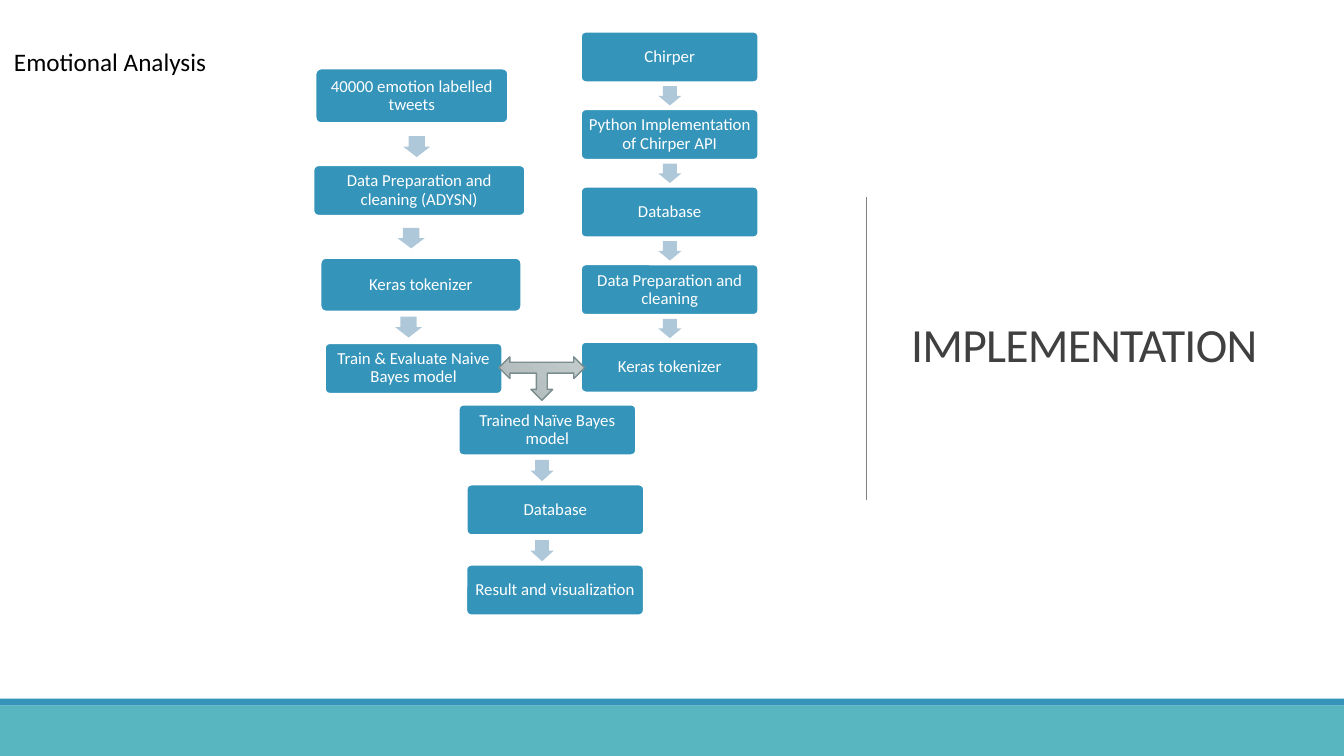
from pptx import Presentation
from pptx.dml.color import RGBColor
from pptx.enum.shapes import MSO_CONNECTOR, MSO_SHAPE
from pptx.enum.text import MSO_ANCHOR, PP_ALIGN
from pptx.oxml.ns import qn
from pptx.util import Pt
from lxml import etree

RECT = MSO_SHAPE.RECTANGLE
ROUNDED = MSO_SHAPE.ROUNDED_RECTANGLE
DOWN = MSO_SHAPE.DOWN_ARROW
THREE_WAY = MSO_SHAPE.LEFT_RIGHT_UP_ARROW
STRAIGHT = MSO_CONNECTOR.STRAIGHT
MIDDLE = MSO_ANCHOR.MIDDLE
CENTER, LEFT = PP_ALIGN.CENTER, PP_ALIGN.LEFT

THEME = {
    "font": "Calibri",
    "blue": RGBColor(0x34, 0x94, 0xBA),
    "teal": RGBColor(0x58, 0xB6, 0xC0),
    "arrow": RGBColor(0xAE, 0xC8, 0xD9),
    "white": RGBColor(0xFF, 0xFF, 0xFF),
    "black": RGBColor(0, 0, 0),
    "title": RGBColor(0x40, 0x40, 0x40),
    "divider": RGBColor(0x80, 0x80, 0x80),
    "join_edge": RGBColor(0x7A, 0x8C, 0x8E),
    "join_start": RGBColor(0xB0, 0xB9, 0xBA),
    "join_end": RGBColor(0xC3, 0xCC, 0xCC),
    "title_size": 34,
    "heading_size": 18,
    "box_size": 12,
}

prs = Presentation()
prs.slide_width, prs.slide_height = Pt(960), Pt(540)
s = prs.slides.add_slide(prs.slide_layouts[6])


def add_shape(kind, x, y, w, h, color, edge=None, weight=0):
    sp = s.shapes.add_shape(kind, Pt(x), Pt(y), Pt(w), Pt(h))
    sp.shadow.inherit = False
    sp.fill.solid()
    sp.fill.fore_color.rgb = THEME[color]
    if edge:
        sp.line.color.rgb = THEME[edge]
        sp.line.width = Pt(weight)
    else:
        sp.line.fill.background()
    return sp


def write(sp, text, size, color, align, spacing):
    tf = sp.text_frame
    tf.word_wrap = True
    tf.vertical_anchor = MIDDLE
    p = tf.paragraphs[0]
    p.text = text
    p.alignment = align
    p.line_spacing = spacing
    r = p.runs[0]
    r.font.name = THEME["font"]
    r.font.size = Pt(THEME[size])
    r.font.color.rgb = THEME[color]
    return r


add_shape(RECT, 0, 499, 960, 5, "blue")
add_shape(RECT, 0, 504, 960, 36, "teal")

divider = s.shapes.add_connector(STRAIGHT, Pt(618.7), Pt(141), Pt(618.7), Pt(357))
divider.line.color.rgb = THEME["divider"]
divider.line.width = Pt(0.5)
etree.SubElement(divider._element.spPr, qn("a:effectLst"))

title = s.shapes.add_textbox(Pt(643.7), Pt(49.7), Pt(265.7), Pt(398.2))
r = write(title, "IMPLEMENTATION", "title_size", "title", LEFT, 0.85)
r._r.get_or_add_rPr().set("spc", "-50")

heading = s.shapes.add_textbox(Pt(2.9), Pt(29.5), Pt(231.8), Pt(29))
write(heading, "Emotional Analysis", "heading_size", "black", LEFT, 1.0)

BOX_W, BOX_H = 127.4, 36.8
LIVE_X, LIVE_Y, LIVE_STEP = 414.7, 22.3, 55.4
live_steps = [
    "Chirper",
    "Python Implementation of Chirper API",
    "Database",
    "Data Preparation and cleaning",
    "Keras tokenizer",
]

boxes = [
    ("40000 emotion labelled tweets", 225.4, 49, 137.5, 38.9, 1.25),
    ("Data Preparation and cleaning (ADYSN)", 223.9, 118.1, 151.2, 36, 1.25),
    ("Keras tokenizer", 229, 184.3, 143.3, 38.2, 1.25),
    ("Train & Evaluate Naive Bayes model", 231.8, 244.8, BOX_W, BOX_H, 2),
    ("Trained Naïve Bayes model", 327.3, 288.7, BOX_W, BOX_H, 2),
    ("Database", 333, 345.8, BOX_W, BOX_H, 2),
    ("Result and visualization", 332.8, 403.1, BOX_W, BOX_H, 2),
]
for i, text in enumerate(live_steps):
    boxes.append((text, LIVE_X, LIVE_Y + i * LIVE_STEP, BOX_W, BOX_H, 2))

for text, x, y, w, h, weight in boxes:
    sp = add_shape(ROUNDED, x, y, w, h, "blue", "white", weight)
    sp.adjustments[0] = 0.1
    tf = sp.text_frame
    tf.margin_left = tf.margin_right = tf.margin_top = tf.margin_bottom = Pt(4)
    write(sp, text, "box_size", "white", CENTER, 0.9)

arrows = [
    (288, 97.2, 19.4, 15),
    (284, 162.8, 19.4, 14.6),
    (282.2, 226.1, 19.4, 15),
    (378.9, 328.5, 16.6, 15.2),
    (378.9, 385.8, 16.6, 15.2),
]
for i in range(len(live_steps) - 1):
    arrows.append((470.2, LIVE_Y + 39.2 + i * LIVE_STEP, 16.6, 13.8))

for x, y, w, h in arrows:
    sp = add_shape(DOWN, x, y, w, h, "arrow")
    sp.adjustments[0] = 0.6
    sp.adjustments[1] = 0.5

join = add_shape(THREE_WAY, 356.4, 254.9, 61.2, 31, "join_end", "join_edge", 1)
join.rotation = 180
join.fill.gradient()
join.fill.gradient_angle = 45
for stop, color in zip(join.fill.gradient_stops, ("join_end", "join_start")):
    stop.color.rgb = THEME[color]

prs.save("out.pptx")
